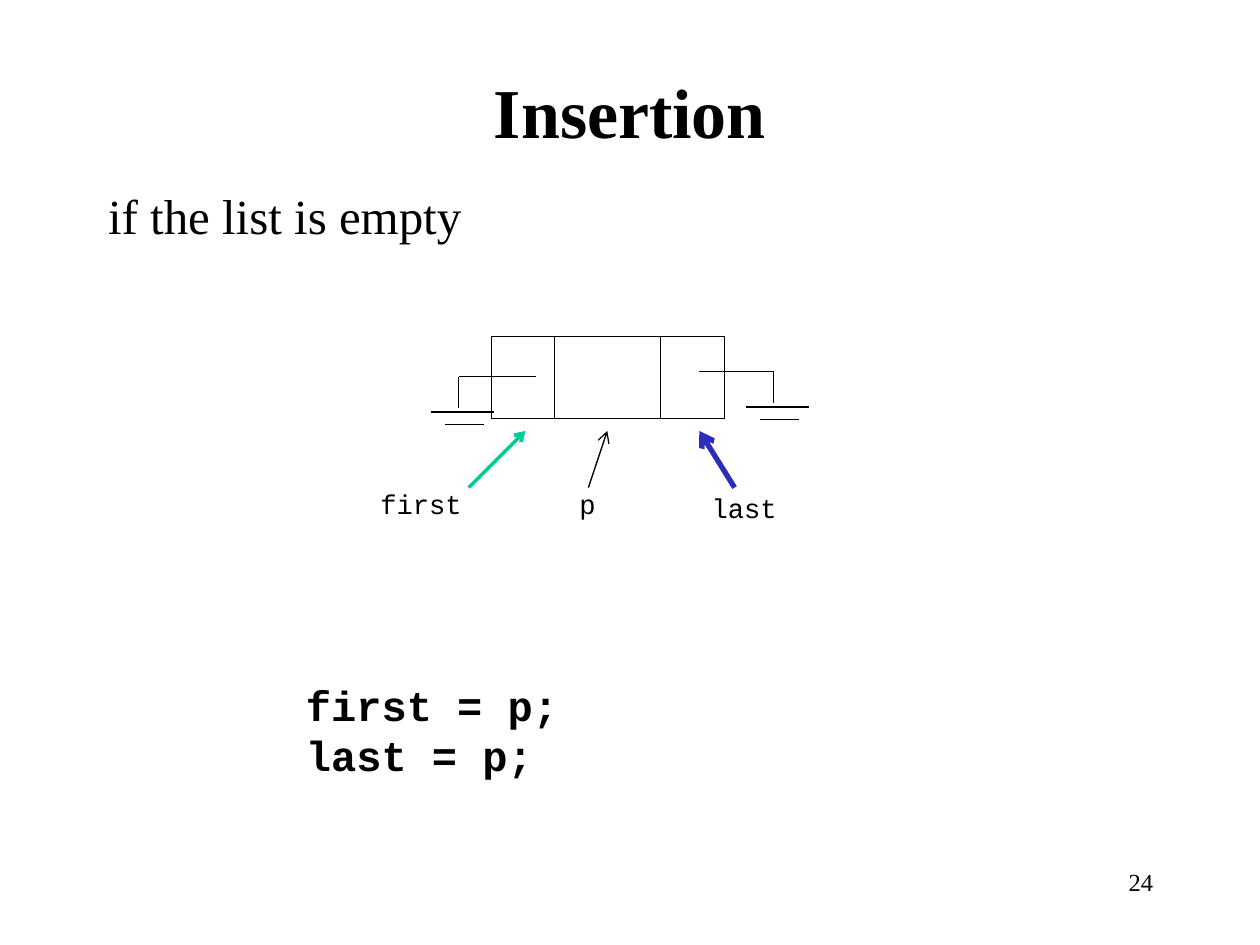
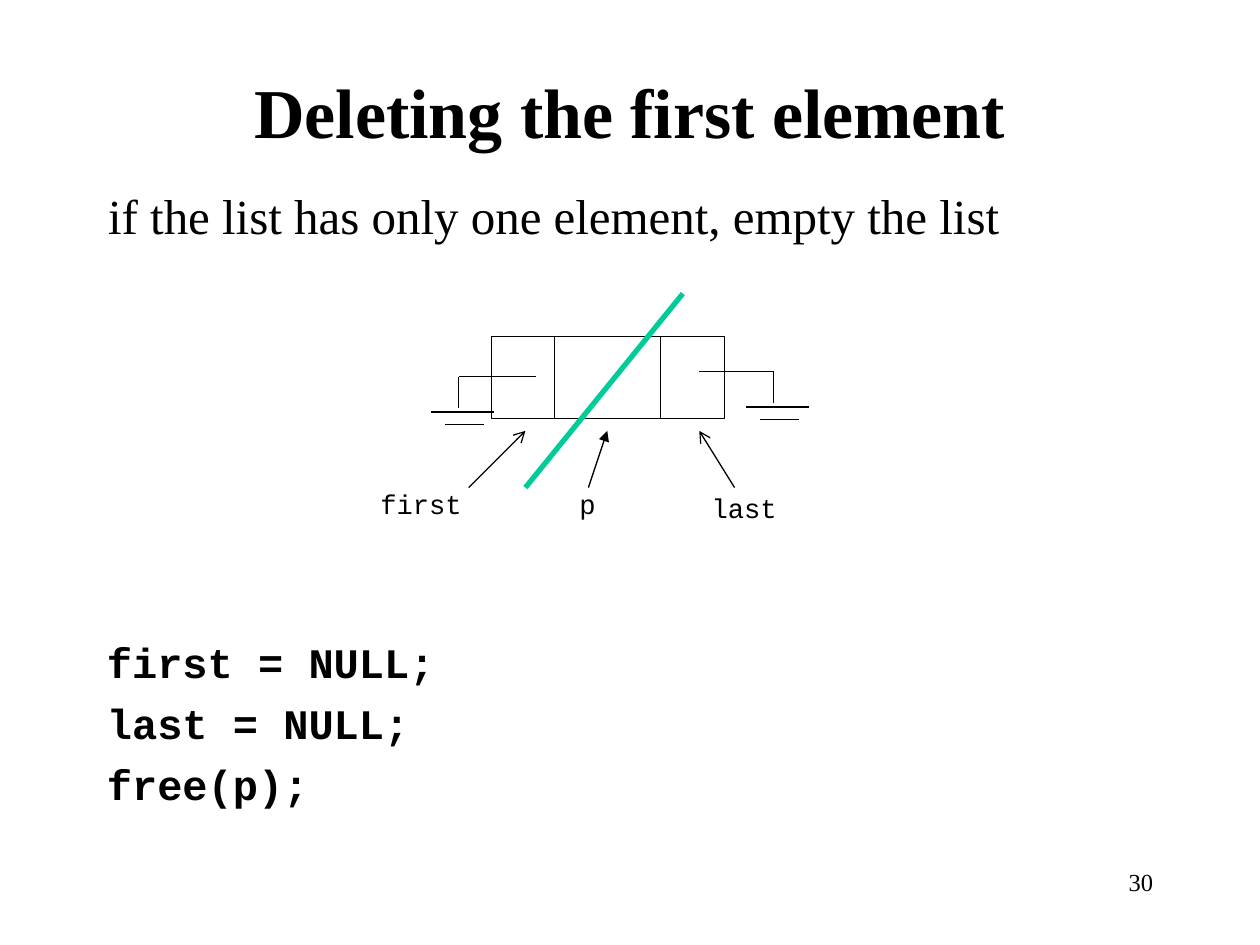
from pptx import Presentation
from pptx.dml.color import RGBColor
from pptx.enum.shapes import MSO_CONNECTOR as CONN, MSO_SHAPE as SHAPE
from pptx.enum.text import MSO_ANCHOR as ANCHOR, PP_ALIGN as ALIGN
from pptx.oxml.ns import qn
from pptx.util import Pt
from lxml.etree import SubElement

PX = 9144  # EMU per px, 100 px to the inch
BLACK, WHITE, GREEN, BLUE = "000000", "FFFFFF", "00CC99", "2D2DB9"
SERIF, MONO = "Times New Roman", "Courier New"


def emu(*lengths):
    return [n * PX for n in lengths]


def rgb(code):
    return RGBColor.from_string(code)


class Deck:
    """Holds the presentation, the shared style and the current slide."""

    def __init__(self):
        self.prs = Presentation()
        self.prs.slide_width, self.prs.slide_height = emu(1000, 750)
        self.s = None

    def slide(self, title, lead, number):
        self.s = self.prs.slides.add_slide(self.prs.slide_layouts[6])
        self.text(title, 75, 50, 850, 75, size=40, bold=True,
                  align=ALIGN.CENTER, anchor=ANCHOR.MIDDLE)
        self.text(lead, 76, 142, 850, 92, size=28)
        self.text(number, 717, 683, 208, 50, size=14, align=ALIGN.RIGHT)

    def text(self, text, x, y, w, h, size=24, font=SERIF, bold=False,
             align=ALIGN.LEFT, anchor=ANCHOR.TOP, spacing=None, gap=0):
        """Add a text box with one paragraph per line, gap points apart."""
        tf = self.s.shapes.add_textbox(*emu(x, y, w, h)).text_frame
        tf.word_wrap = True
        tf.vertical_anchor = anchor
        for i, line in enumerate(text.split("\n")):
            p = tf.add_paragraph() if i else tf.paragraphs[0]
            p.alignment = align
            p.line_spacing = spacing
            if i:
                p.space_before = Pt(gap)
            r = p.add_run()
            r.text = line
            r.font.name, r.font.size, r.font.bold = font, Pt(size), bold
            r.font.color.rgb = rgb(BLACK)

    def code(self, text, x, y, w, h, gap=0):
        self.text(text, x, y, w, h, font=MONO, bold=True, gap=gap)

    def box(self, x, y, w, h):
        sp = self.s.shapes.add_shape(SHAPE.RECTANGLE, *emu(x, y, w, h))
        sp.shadow.inherit = False
        sp.fill.solid()
        sp.fill.fore_color.rgb = rgb(WHITE)
        sp.line.color.rgb = rgb(BLACK)
        sp.line.width = Pt(0.75)

    def line(self, x1, y1, x2, y2, color=BLACK, width=0.75, head=None):
        cn = self.s.shapes.add_connector(CONN.STRAIGHT, *emu(x1, y1, x2, y2))
        cn.line.color.rgb = rgb(color)
        cn.line.width = Pt(width)
        if head:
            SubElement(cn.line._get_or_add_ln(), qn("a:tailEnd"), type=head)
        SubElement(cn._element.spPr, qn("a:effectLst"))

    def ground(self, start, x, y):
        """Draw a null link: a wire from start to x, a stem and two bars."""
        self.line(start, y, x, y)
        self.line(x, y, x, y + 25)
        self.line(x - 22, y + 28, x + 28, y + 28)
        self.line(x - 11, y + 38, x + 20, y + 38)

    def pointer(self, name, label, tail, tip, color=BLACK, width=0.75, head="arrow"):
        """Draw a labelled arrow up to the node; label is its box x, y, w."""
        x, y, w = label
        self.text(name, x, y, w, 38, size=15.5, font=MONO, spacing=0.8)
        self.line(tail, 387, tip, 342, color, width, head)

    def node(self, first={}, p={}, last={}):
        """Draw the single list node; each argument formats one pointer."""
        top, height = 267, 65
        self.box(390, top, 185, height)
        for x in (440, 524):
            self.line(x, top, x, top + height)
        self.pointer("p", (450, 387, 51), 467, 482, **p)
        self.pointer("first", (292, 387, 107), 372, 417, **first)
        self.pointer("last", (555, 390, 107), 583, 555, **last)
        self.ground(425, 364, 299)
        self.ground(555, 614, 295)


def main():
    d = Deck()

    d.slide("Insertion", "if the list is empty", "24")
    d.node(first=dict(color=GREEN, width=2), last=dict(color=BLUE, width=3))
    d.code("first = p;\nlast = p;", 233, 534, 500, 90)

    d.slide("Deleting the first element",
            "if the list has only one element, empty the list", "30")
    d.node(p=dict(head="triangle"))
    d.code("first = NULL;\nlast = NULL;\nfree(p);", 75, 500, 850, 167, gap=6)
    d.line(542, 233, 417, 387, GREEN, 3)

    d.prs.save("out.pptx")


if __name__ == "__main__":
    main()
